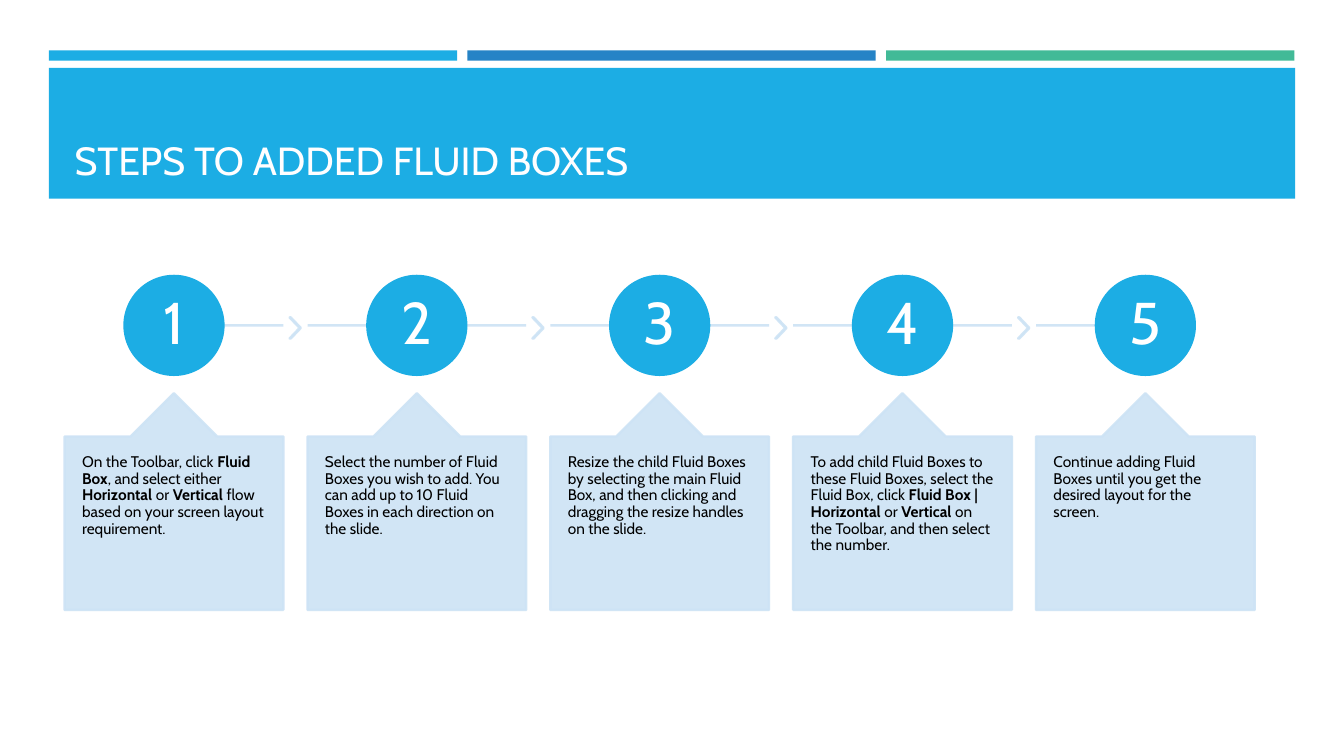
from pptx import Presentation
from pptx.dml.color import RGBColor
from pptx.enum.shapes import MSO_CONNECTOR as Link, MSO_SHAPE as Kind
from pptx.enum.text import MSO_ANCHOR as Anchor, PP_ALIGN as Align
from pptx.oxml.ns import qn
from pptx.util import Cm, Pt
from lxml.etree import SubElement

FONT = "Cabin"
SKY, BLUE, GREEN, PALE = "1CADE4", "2683C6", "42BA97", "CDE3F5"

# Step grid, in centimetres
LEFT, PITCH, WIDTH = 1.63, 6.12, 5.51
MID = 8.2
DISC = 2.49

# Each step is a list of runs; every second run is bold
STEPS = [
    ["On the Toolbar, click ", "Fluid Box", ", and select either ", "Horizontal",
     " or ", "Vertical", " flow based on your screen layout requirement."],
    ["Select the number of Fluid Boxes you wish to add. You can add up to 10 "
     "Fluid Boxes in each direction on the slide."],
    ["Resize the child Fluid Boxes by selecting the main Fluid Box, and then "
     "clicking and dragging the resize handles on the slide."],
    ["To add child Fluid Boxes to these Fluid Boxes, select the Fluid Box, click ",
     "Fluid Box | Horizontal ", "or ", "Vertical ",
     "on the Toolbar, and then select the number."],
    ["Continue adding Fluid Boxes until you get the desired layout for the screen."],
]


def color(code):
    return RGBColor.from_string(code)


def fade(item, alpha):
    for tint in item.element.iter(qn("a:srgbClr")):
        SubElement(tint, qn("a:alpha")).set("val", str(alpha * 1000))


def paint(shape, code, edge=True, alpha=100):
    shape.shadow.inherit = False
    shape.fill.solid()
    shape.fill.fore_color.rgb = color(code)
    if edge:
        shape.line.color.rgb = color(code)
        shape.line.width = Pt(1.75)
    else:
        shape.line.fill.background()
    if alpha < 100:
        fade(shape, alpha)


def write(shape, runs, size=11, ink="000000", align=Align.LEFT,
          anchor=Anchor.TOP, pads=(0, 0, 0, 0), lead=0.9):
    frame = shape.text_frame
    frame.word_wrap = True
    frame.vertical_anchor = anchor
    (frame.margin_left, frame.margin_top,
     frame.margin_right, frame.margin_bottom) = map(Cm, pads)
    para = frame.paragraphs[0]
    para.alignment = align
    para.line_spacing = lead
    for i, text in enumerate(runs):
        run = para.add_run()
        run.text = text
        run.font.name = FONT
        run.font.size = Pt(size)
        run.font.bold = i % 2 == 1
        run.font.color.rgb = color(ink)


def block(shapes, kind, x, y, w, h, code, **style):
    shape = shapes.add_shape(kind, Cm(x), Cm(y), Cm(w), Cm(h))
    paint(shape, code, **style)
    return shape


def rail(shapes, start, end):
    line = shapes.add_connector(Link.STRAIGHT, Cm(start), Cm(MID), Cm(end), Cm(MID))
    line.line.color.rgb = color(PALE)
    line.line.width = Pt(1.75)
    fade(line, 90)
    SubElement(line.element.spPr, qn("a:effectLst"))


def callout(shapes, x, runs):
    tip, top, base = 9.91, 11, 15.37
    mid, half, right = x + WIDTH / 2, 1.09, x + WIDTH
    points = [(mid - half, top), (mid, tip), (mid + half, top),
              (right, top), (right, base), (x, base)]
    pen = shapes.build_freeform(Cm(x), Cm(top))
    pen.add_line_segments([(Cm(a), Cm(b)) for a, b in points], close=True)
    shape = pen.convert_to_shape()
    paint(shape, PALE, alpha=90)
    write(shape, runs, pads=(0.44, 1.54, 0.44, 0.45))


def header(slide):
    shapes = slide.shapes
    for i, code in enumerate((SKY, BLUE, GREEN)):
        block(shapes, Kind.RECTANGLE, 1.23 + i * 10.55, 1.27, 10.29, 0.26,
              code, edge=False)
    block(shapes, Kind.RECTANGLE, 1.23, 1.71, 31.41, 3.3, SKY, edge=False)
    title = shapes.title
    title.left, title.top, title.width, title.height = map(
        Cm, (1.63, 1.95, 30.63, 2.81))
    write(title, ["STEPS TO ADDED FLUID BOXES"], size=28, ink="FFFEFF",
          anchor=Anchor.BOTTOM, pads=(0.25, 0.13, 0.25, 0.13), lead=1.0)
    # Bring the title in front of its band
    title.element.getparent().append(title.element)


def step(shapes, i, runs):
    x = LEFT + i * PITCH
    mid = x + WIDTH / 2
    last = i == len(STEPS) - 1
    # Line behind the disc, with a chevron in the gap
    rail(shapes, x if i else 4.67, mid if last else x + WIDTH)
    if not last:
        mark = block(shapes, Kind.CHEVRON, x + WIDTH + 0.16, 8, 0.28, 0.53,
                     PALE, alpha=90)
        mark.adjustments[0] = 0.9
    # Numbered disc
    disc = block(shapes, Kind.OVAL, mid - DISC / 2, MID - DISC / 2, DISC, DISC, SKY)
    write(disc, [str(i + 1)], size=42, ink="FFFFFF", align=Align.CENTER,
          anchor=Anchor.MIDDLE)
    callout(shapes, x, runs)


def main():
    deck = Presentation()
    deck.slide_width, deck.slide_height = Cm(33.87), Cm(19.05)
    slide = deck.slides.add_slide(deck.slide_layouts[5])
    header(slide)
    for i, runs in enumerate(STEPS):
        step(slide.shapes, i, runs)
    deck.save("out.pptx")


if __name__ == "__main__":
    main()
